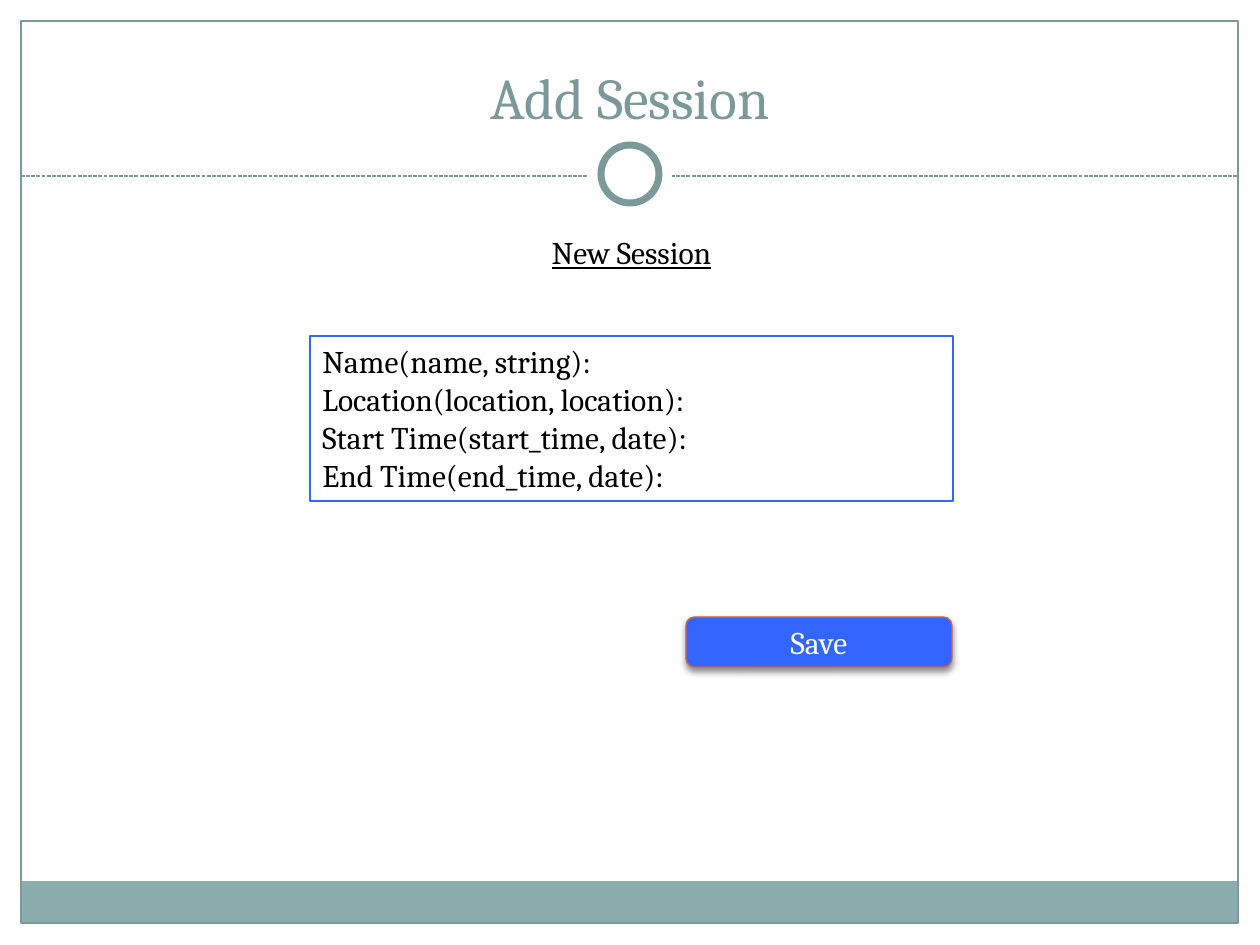
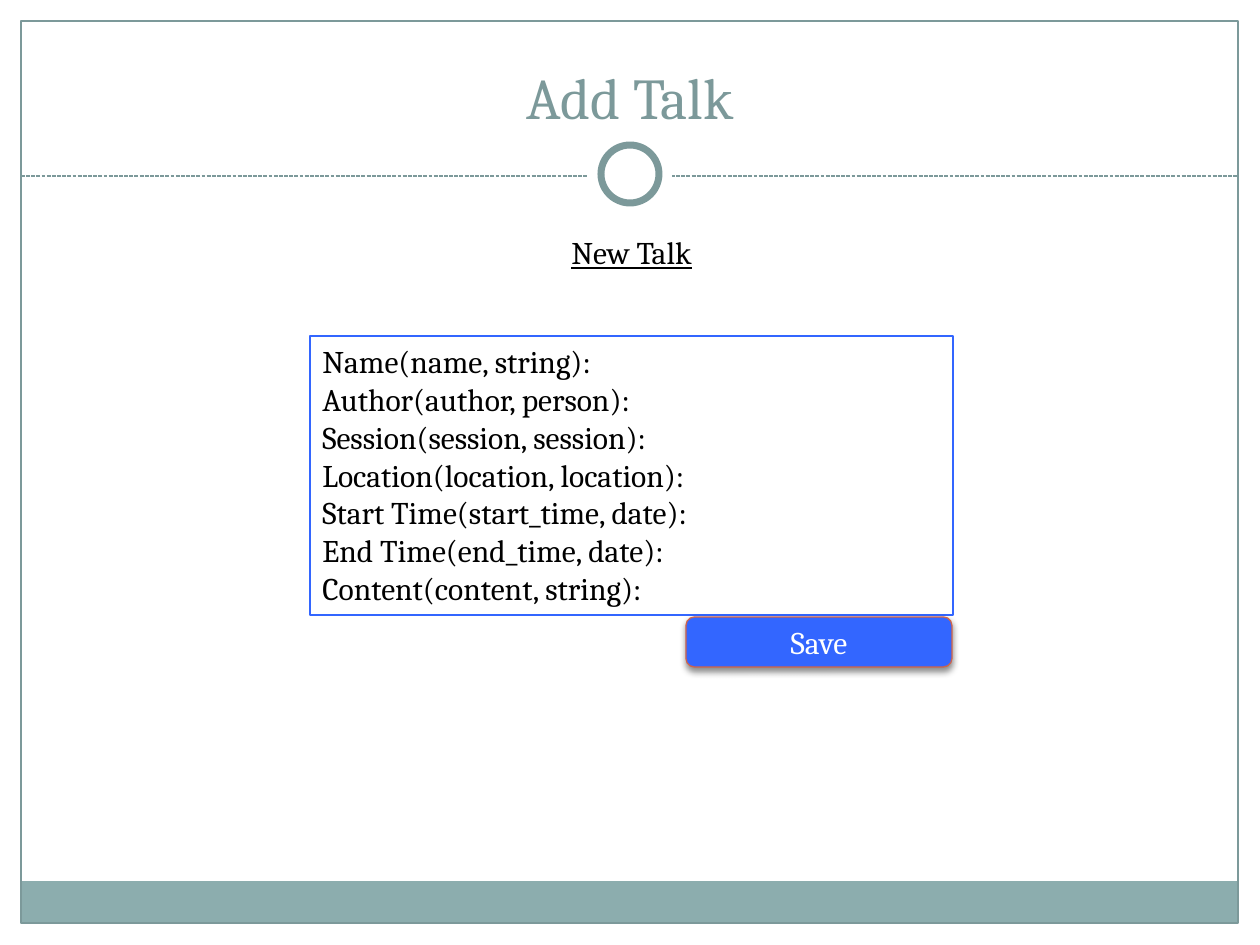
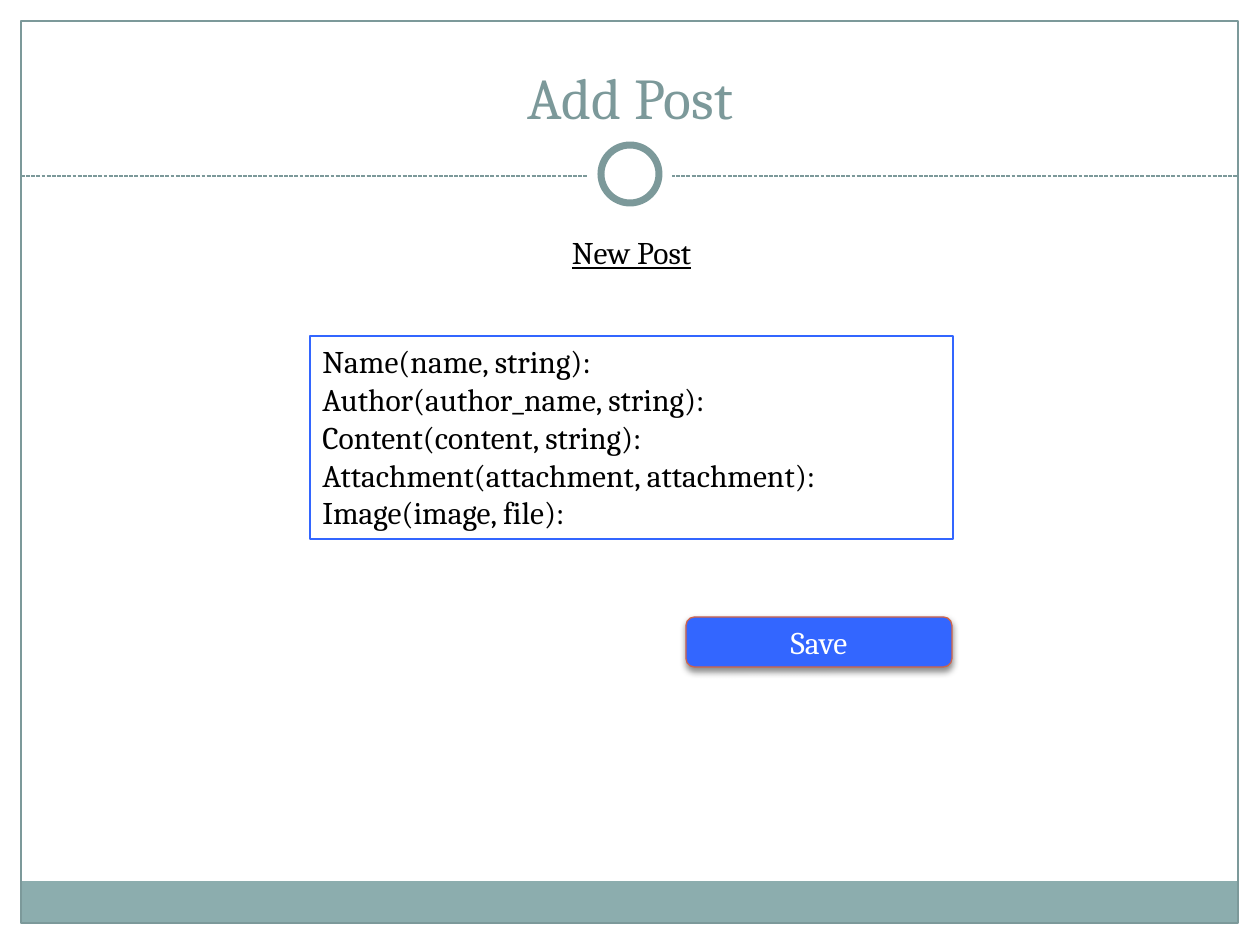
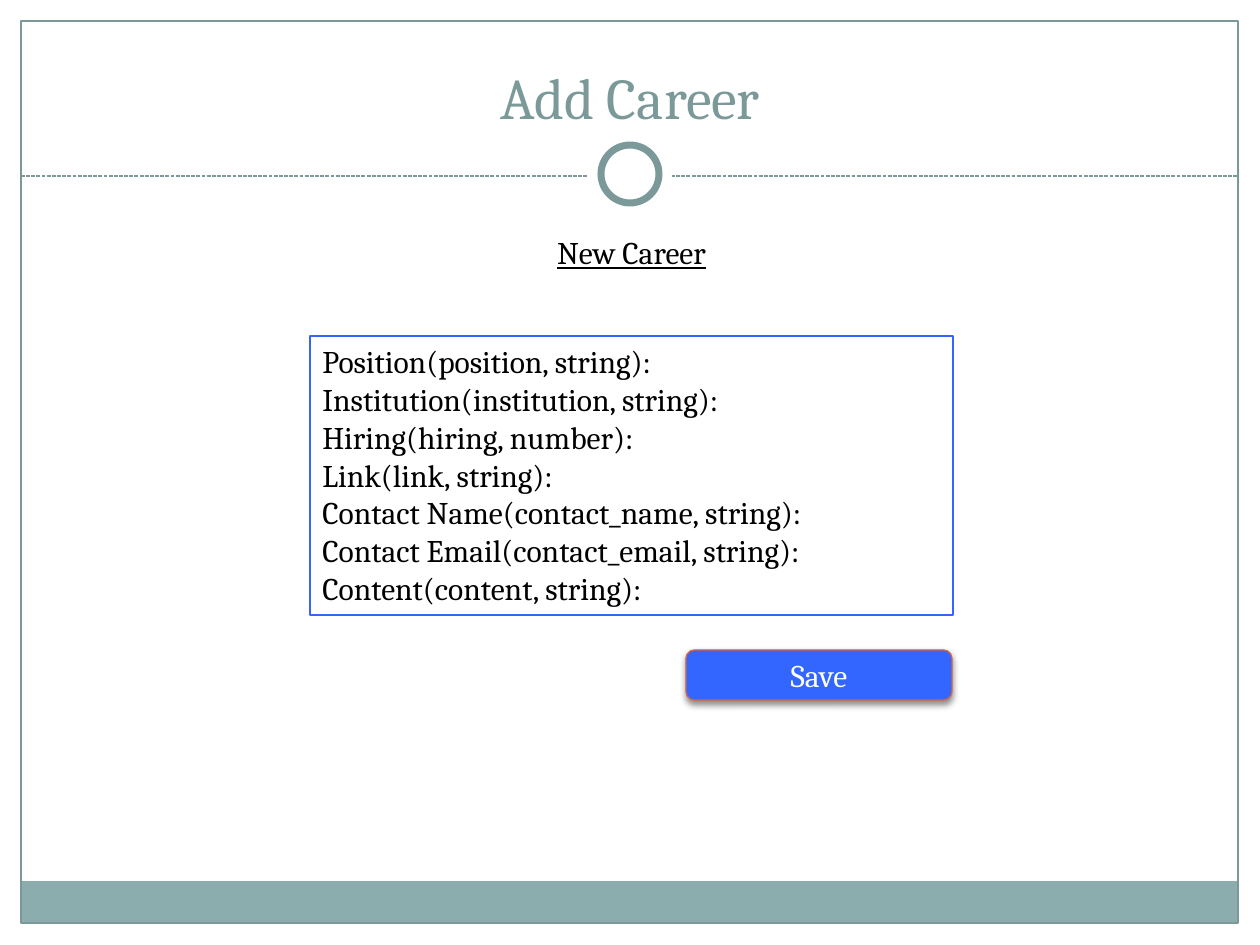
import dataclasses

import lxml.etree
import pptx
import pptx.dml.color
import pptx.enum.dml
import pptx.enum.shapes
import pptx.enum.text
import pptx.oxml.ns
import pptx.util

Align = pptx.enum.text.PP_ALIGN
Anchor = pptx.enum.text.MSO_ANCHOR
AutoSize = pptx.enum.text.MSO_AUTO_SIZE
Preset = pptx.enum.shapes.MSO_SHAPE
qn = pptx.oxml.ns.qn

SCALE = 914400 / 126  # EMU per pixel
WIDTH, HEIGHT = 1260, 945
TITLE_ONLY = 5


@dataclasses.dataclass(frozen=True)
class Theme:
    font: str = "Cambria"
    title_size: float = 33
    text_size: float = 18
    thin: float = 0.75
    thick: float = 4
    paper: str = "FFFFFF"
    ink: str = "000000"
    accent: str = "7C999A"
    band: str = "8CADAE"
    button: str = "3366FF"
    button_edge: str = "D16349"


def emu(*pixels):
    return [pptx.util.Emu(round(value * SCALE)) for value in pixels]


def rgb(code):
    return pptx.dml.color.RGBColor.from_string(code)


class Painter:
    """Holds the theme, the deck and the current page."""

    def __init__(self, theme):
        self.theme = theme
        self.deck = pptx.Presentation()
        self.deck.slide_width, self.deck.slide_height = emu(WIDTH, HEIGHT)
        self.layout = self.deck.slide_layouts[TITLE_ONLY]
        self.page = None

    def new_page(self):
        self.page = self.deck.slides.add_slide(self.layout)

    def shape(self, preset, at, fill=None, line=None, weight=None):
        shape = self.page.shapes.add_shape(preset, *emu(*at))
        shape.shadow.inherit = False
        if fill:
            shape.fill.solid()
            shape.fill.fore_color.rgb = rgb(fill)
        else:
            shape.fill.background()
        if line:
            shape.line.color.rgb = rgb(line)
            shape.line.width = pptx.util.Pt(weight or self.theme.thin)
        else:
            shape.line.fill.background()
        return shape

    def dashed_line(self, left, right, y):
        line = self.page.shapes.add_connector(
            pptx.enum.shapes.MSO_CONNECTOR.STRAIGHT, *emu(left, y, right, y))
        line.line.color.rgb = rgb(self.theme.accent)
        line.line.width = pptx.util.Pt(self.theme.thin)
        line.line.dash_style = pptx.enum.dml.MSO_LINE.SQUARE_DOT
        lxml.etree.SubElement(line.element.spPr, qn("a:effectLst"))
        return line

    def put_text(self, box, lines, color, size=None, align=Align.LEFT,
                 anchor=Anchor.TOP, grow=False, underline=None):
        frame = box.text_frame
        frame.word_wrap = True
        frame.auto_size = AutoSize.SHAPE_TO_FIT_TEXT if grow else AutoSize.NONE
        frame.vertical_anchor = anchor
        for index, line in enumerate(lines):
            para = frame.add_paragraph() if index else frame.paragraphs[0]
            para.alignment = align
            span = para.add_run()
            span.text = line
            span.font.name = self.theme.font
            span.font.size = pptx.util.Pt(size or self.theme.text_size)
            span.font.color.rgb = rgb(color)
            span.font.underline = underline

    def shared_frame(self):
        """Draw the frame on the current page, then move it to the layout."""
        theme = self.theme
        parts = [
            # White margins
            self.shape(Preset.RECTANGLE, (0, 0, WIDTH, 192), theme.paper),
            self.shape(Preset.RECTANGLE, (0, 0, 21, HEIGHT), theme.paper),
            self.shape(Preset.RECTANGLE, (WIDTH - 21, 0, 21, HEIGHT), theme.paper),
            # Footer band and border
            self.shape(Preset.RECTANGLE, (21, 881, 1217, 43), theme.band),
            self.shape(Preset.RECTANGLE, (21, 21, 1217, 902), line=theme.accent),
            # Divider with ring
            self.dashed_line(21, WIDTH - 21, 176),
            self.shape(Preset.OVAL, (588, 132, 84, 84), theme.paper),
            self.shape(Preset.OVAL, (601, 145, 58, 58), theme.paper,
                       theme.accent, theme.thick),
        ]
        for position, part in enumerate(parts, start=2):
            self.layout.shapes.element.insert(position, part.element)

    def title(self, text):
        box = self.page.shapes.title
        box.left, box.top, box.width, box.height = emu(42, 32, 1176, 105)
        self.put_text(box, [text], self.theme.accent, self.theme.title_size,
                      Align.CENTER, Anchor.BOTTOM)

    def heading(self, text):
        box = self.page.shapes.add_textbox(*emu(386, 227, 491, 50))
        self.put_text(box, [text], self.theme.ink, align=Align.CENTER,
                      grow=True, underline=True)

    def field_box(self, fields):
        height = 13 + 38 * len(fields)
        box = self.shape(Preset.RECTANGLE, (310, 336, 643, height),
                         line=self.theme.button)
        lines = [f"{label}({name}, {kind}):" for label, name, kind in fields]
        self.put_text(box, lines, self.theme.ink, grow=True)

    def button(self, text, top):
        box = self.shape(Preset.ROUNDED_RECTANGLE, (686, top, 266, 50),
                         self.theme.button, self.theme.button_edge)
        effects = box.element.spPr.find(qn("a:effectLst"))
        shadow = lxml.etree.SubElement(
            effects, qn("a:outerShdw"), blurRad=str(pptx.util.Pt(4)),
            dist=str(pptx.util.Pt(2)), dir="5400000", rotWithShape="0")
        color = lxml.etree.SubElement(shadow, qn("a:srgbClr"), val=self.theme.ink)
        lxml.etree.SubElement(color, qn("a:alpha"), val="45000")
        self.put_text(box, [text], self.theme.paper, align=Align.CENTER,
                      anchor=Anchor.MIDDLE)


# Fields that several forms use
NAME = ("Name", "name", "string")
LOCATION = ("Location", "location", "location")
START = ("Start Time", "start_time", "date")
END = ("End Time", "end_time", "date")
CONTENT = ("Content", "content", "string")

# Subject, top of the button, fields
FORMS = [
    ("Session", 617, [NAME, LOCATION, START, END]),
    ("Talk", 617, [
        NAME,
        ("Author", "author", "person"),
        ("Session", "session", "session"),
        LOCATION, START, END, CONTENT]),
    ("Post", 617, [
        NAME,
        ("Author", "author_name", "string"),
        CONTENT,
        ("Attachment", "attachment", "attachment"),
        ("Image", "image", "file")]),
    ("Career", 650, [
        ("Position", "position", "string"),
        ("Institution", "institution", "string"),
        ("Hiring", "hiring", "number"),
        ("Link", "link", "string"),
        ("Contact Name", "contact_name", "string"),
        ("Contact Email", "contact_email", "string"),
        CONTENT]),
]

painter = Painter(Theme())
for number, (subject, button_top, fields) in enumerate(FORMS):
    painter.new_page()
    if number == 0:
        painter.shared_frame()
    painter.title(f"Add {subject}")
    painter.heading(f"New {subject}")
    painter.field_box(fields)
    painter.button("Save", button_top)

painter.deck.save("out.pptx")
